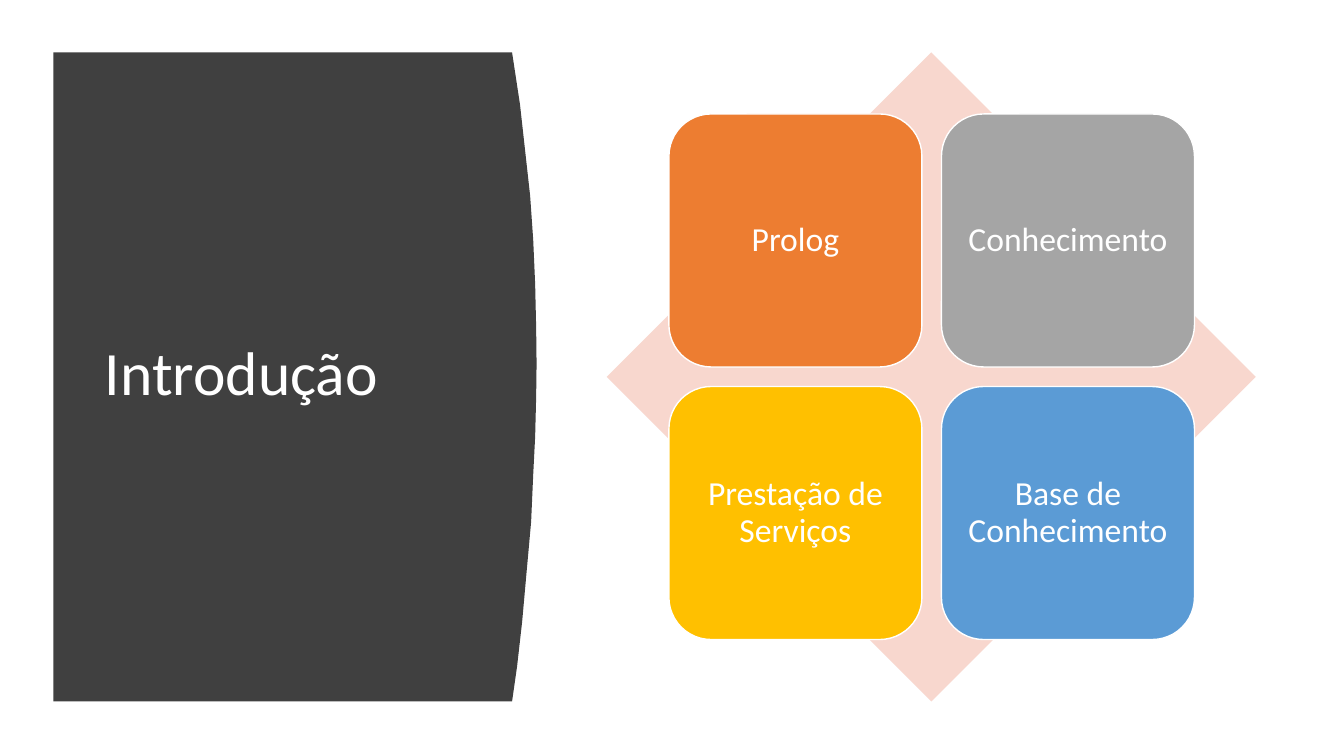
import pptx
import pptx.dml.color
import pptx.enum.shapes
import pptx.enum.text
import pptx.util

Pt = pptx.util.Pt
SHAPES = pptx.enum.shapes.MSO_SHAPE
ALIGN = pptx.enum.text.PP_ALIGN

FONT = "Calibri"
COLORS = {
    "panel": "404040",
    "diamond": "F8D7CE",
    "orange": "ED7D31",
    "gray": "A5A5A5",
    "gold": "FFC000",
    "blue": "5B9BD5",
    "white": "FFFFFF",
}

# Panel outline in points: the curved right edge from top to bottom
PANEL_LEFT, PANEL_TOP, PANEL_BOTTOM = 38.2, 37.4, 501.1
PANEL_EDGE = [
    (365.8, PANEL_TOP), (371.5, 74.9), (375.1, 107.3), (378.7, 139.7),
    (380.9, 171.4), (382.3, 203), (383, 234), (383.3, 260), (383, 283.7),
    (382.3, 311.8), (380.9, 339.1), (379.4, 373), (376.6, 403.9),
    (373, 444.2), (369.4, 475.9), (365.8, PANEL_BOTTOM),
]

# Matrix of topics, in points
DIAMOND_LEFT, DIAMOND_SIZE = 433.4, 463.7
TILE_LEFT, TILE_TOP = 477.8, 81.4
TILE_SIZE, TILE_STEP = 180.7, 194.7
TOPICS = [
    ("Prolog", "orange"),
    ("Conhecimento", "gray"),
    ("Prestação de Serviços", "gold"),
    ("Base de Conhecimento", "blue"),
]


def rgb(name):
    return pptx.dml.color.RGBColor.from_string(COLORS[name])


def paint(shape, fill, line=None):
    shape.shadow.inherit = False
    shape.fill.solid()
    shape.fill.fore_color.rgb = rgb(fill)
    if line:
        shape.line.color.rgb = rgb(line)
        shape.line.width = Pt(1)
    else:
        shape.line.fill.background()


def write_text(shape, text, size, align, color="white", inset=7.2):
    frame = shape.text_frame
    frame.word_wrap = True
    frame.auto_size = pptx.enum.text.MSO_AUTO_SIZE.NONE
    frame.vertical_anchor = pptx.enum.text.MSO_ANCHOR.MIDDLE
    frame.margin_left = frame.margin_right = Pt(inset)
    frame.margin_top = frame.margin_bottom = Pt(inset)
    para = frame.paragraphs[0]
    para.alignment = align
    para.line_spacing = 0.9
    span = para.add_run()
    span.text = text
    span.font.name = FONT
    span.font.size = Pt(size)
    span.font.color.rgb = rgb(color)


def add_square(page, kind, left, top, size, fill, line=None):
    box = page.shapes.add_shape(kind, Pt(left), Pt(top), Pt(size), Pt(size))
    paint(box, fill, line)
    return box


def add_panel(page):
    builder = page.shapes.build_freeform(Pt(PANEL_LEFT), Pt(PANEL_TOP))
    outline = PANEL_EDGE + [(PANEL_LEFT, PANEL_BOTTOM)]
    builder.add_line_segments([(Pt(x), Pt(y)) for x, y in outline], close=True)
    panel = builder.convert_to_shape()
    paint(panel, "panel")
    return panel


def place_title(page, text):
    title = page.shapes.title
    title.left, title.top = Pt(67.7), Pt(79.9)
    title.width, title.height = Pt(269.3), Pt(377.3)
    write_text(title, text, 44, ALIGN.LEFT)
    return title


def add_topic_matrix(page):
    add_square(page, SHAPES.DIAMOND, DIAMOND_LEFT, PANEL_TOP, DIAMOND_SIZE, "diamond")
    for index, (topic, color) in enumerate(TOPICS):
        row, column = divmod(index, 2)
        tile = add_square(page, SHAPES.ROUNDED_RECTANGLE,
                          TILE_LEFT + column * TILE_STEP, TILE_TOP + row * TILE_STEP,
                          TILE_SIZE, color, line="white")
        write_text(tile, topic, 24, ALIGN.CENTER)


def main():
    deck = pptx.Presentation()
    deck.slide_width, deck.slide_height = Pt(960), Pt(540)
    page = deck.slides.add_slide(deck.slide_layouts.get_by_name("Title Only"))

    # Title on the dark panel, with the panel behind it
    title = place_title(page, "Introdução")
    panel = add_panel(page)
    title.element.addprevious(panel.element)

    # Four topics over the diamond
    add_topic_matrix(page)

    deck.save("out.pptx")


if __name__ == "__main__":
    main()
